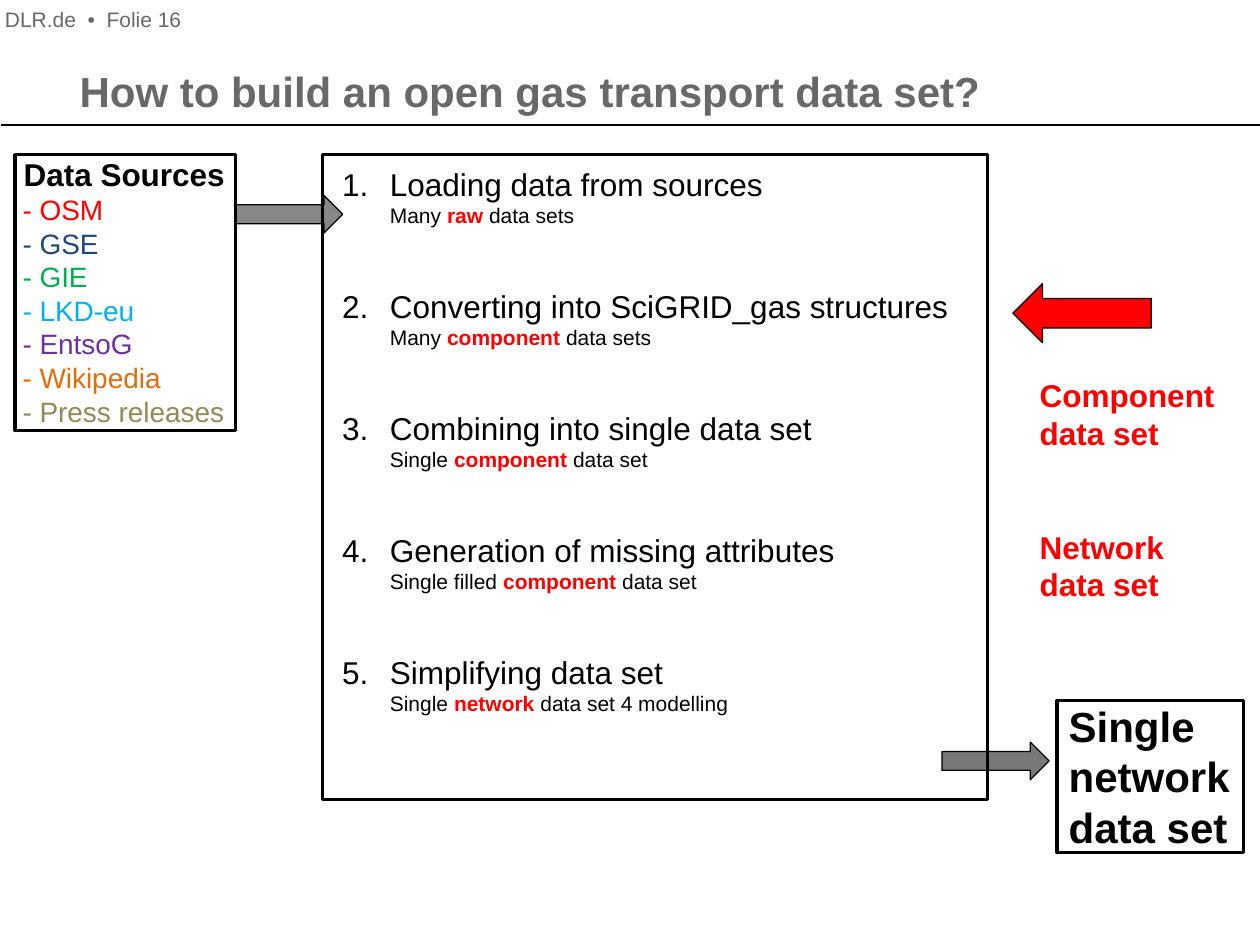
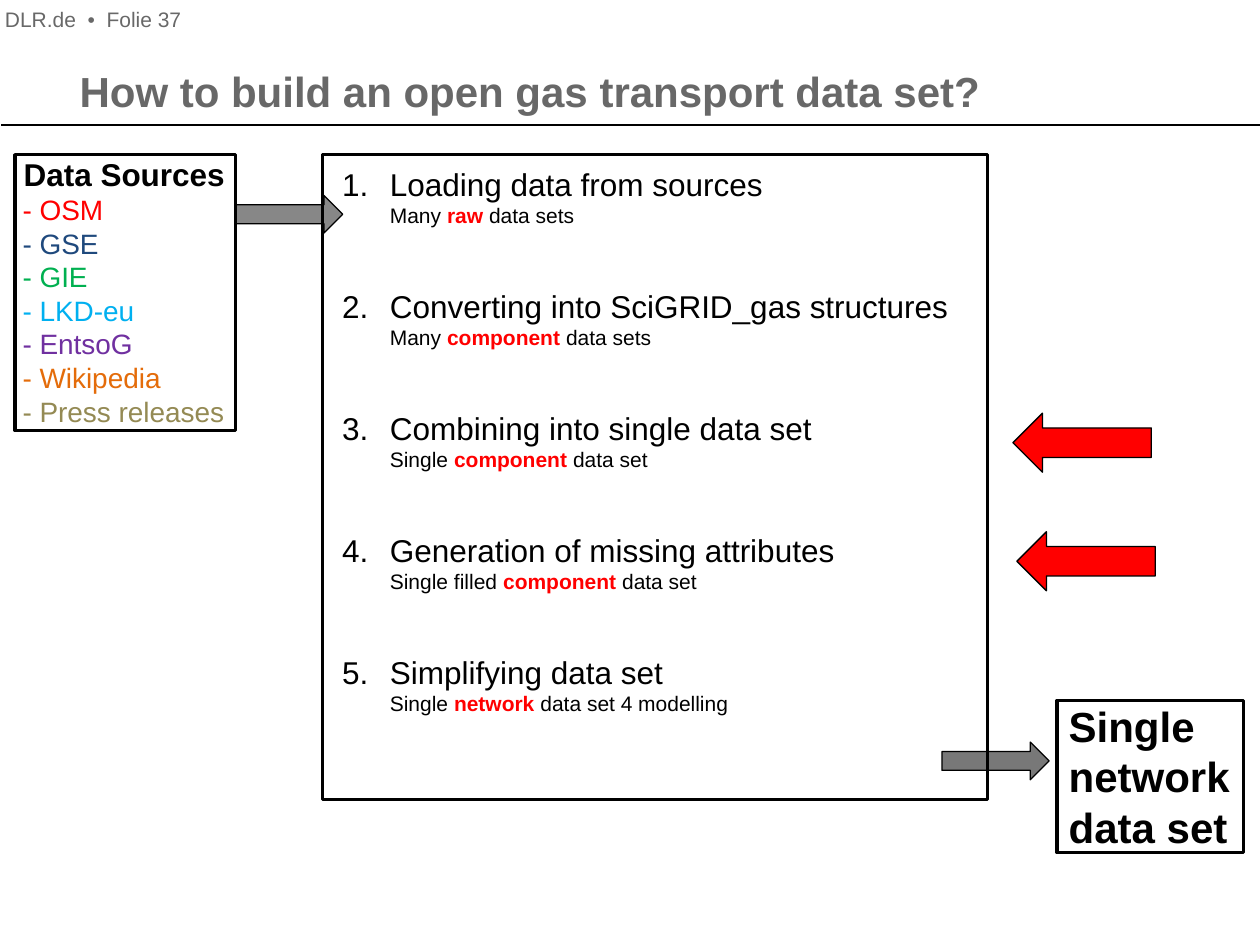
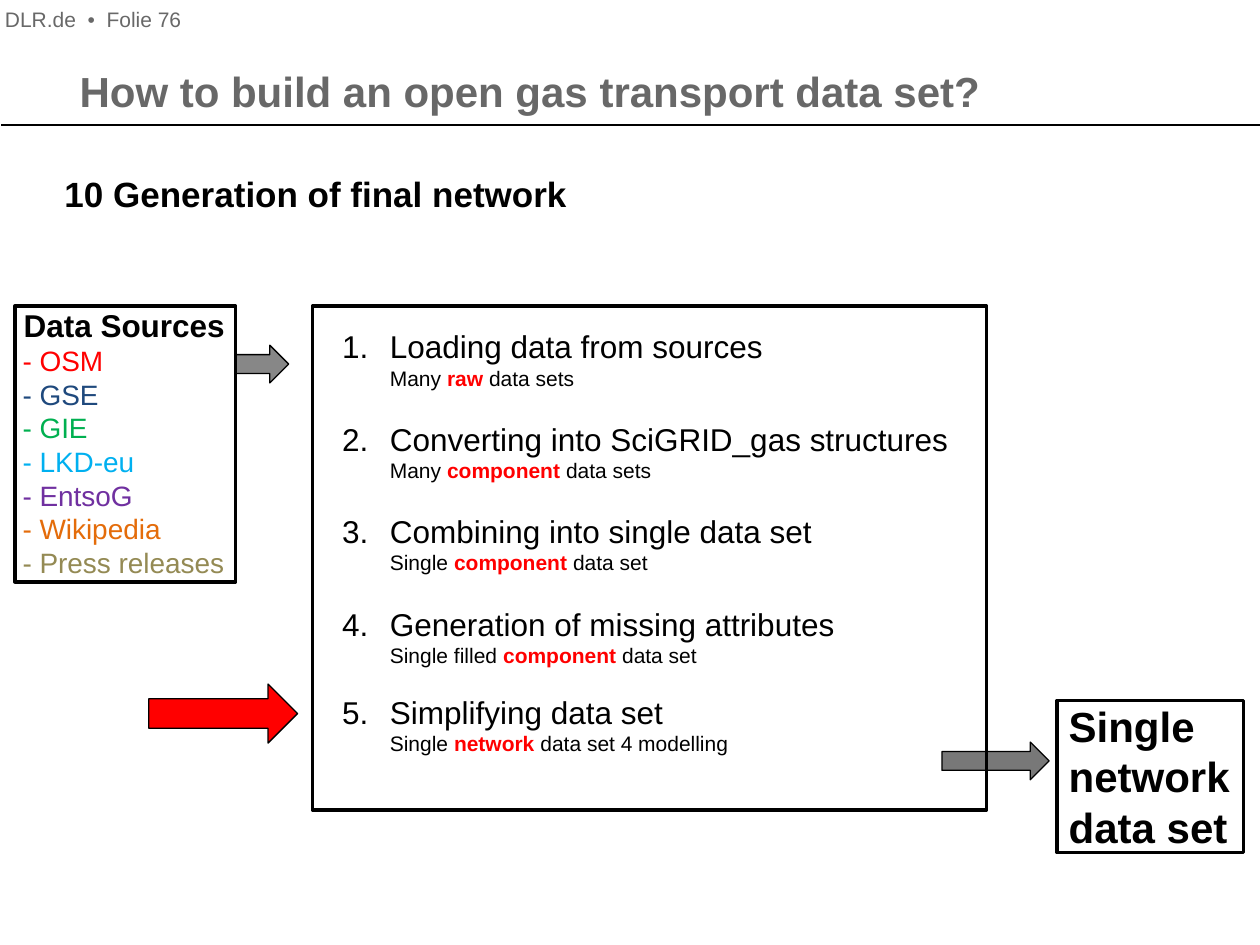
from lxml import etree
from pptx import Presentation
from pptx.dml.color import RGBColor
from pptx.enum.shapes import MSO_CONNECTOR, MSO_SHAPE
from pptx.enum.text import MSO_ANCHOR, PP_ALIGN
from pptx.oxml.ns import qn
from pptx.util import Cm, Pt

RECTANGLE = MSO_SHAPE.RECTANGLE
RIGHT_ARROW = MSO_SHAPE.RIGHT_ARROW
LEFT_ARROW = MSO_SHAPE.LEFT_ARROW
STRAIGHT = MSO_CONNECTOR.STRAIGHT
TOP = MSO_ANCHOR.TOP
LEFT = PP_ALIGN.LEFT

BLACK = RGBColor(0x00, 0x00, 0x00)
GREY = RGBColor(0x68, 0x68, 0x68)
RED = RGBColor(0xFF, 0x00, 0x00)
NAVY = RGBColor(0x1F, 0x49, 0x7D)
GREEN = RGBColor(0x00, 0xB0, 0x50)
SKY = RGBColor(0x00, 0xB0, 0xF0)
PURPLE = RGBColor(0x70, 0x30, 0xA0)
ORANGE = RGBColor(0xE4, 0x6C, 0x0A)
OLIVE = RGBColor(0x94, 0x8A, 0x54)

NO_MARGINS = dict.fromkeys(
    ("margin_left", "margin_top", "margin_right", "margin_bottom"), 0)

TITLE = {"name": "Arial", "size": Pt(24), "bold": True}
HEADING = {"name": "Arial", "size": Pt(20), "bold": True}
LABEL = {"name": "Arial", "size": Pt(18), "bold": True}
STEP = {"name": "Arial", "size": Pt(18), "bold": False}
SOURCE = {"name": "Arial", "size": Pt(16), "bold": False}
DETAIL = {"name": "Arial", "size": Pt(12), "bold": False}
KEYWORD = {"name": "Arial", "size": Pt(12), "bold": True}

SOURCES = [("OSM", RED), ("GSE", NAVY), ("GIE", GREEN), ("LKD-eu", SKY),
           ("EntsoG", PURPLE), ("Wikipedia", ORANGE), ("Press releases", OLIVE)]
STEPS = [
    ("Loading data from sources", "Many ", "raw ", "data sets"),
    ("Converting into SciGRID_gas structures", "Many ", "component ", "data sets"),
    ("Combining into single data set", "Single ", "component ", "data set"),
    ("Generation of missing attributes", "Single filled ", "component ", "data set"),
    ("Simplifying data set", "Single ", "network ", "data set 4 modelling"),
]

EARLY = {
    "sources_top": 3.12, "frame": (6.5, 3.12, 13.41, 13),
    "steps": (6.9, 3.33, 12.32, 11.63), "step_gaps": (0, 33.7, 33.7, 33.7, 33.7),
    "input_arrow": (4.75, 3.94, 2.16, 0.76), "heading": None, "labels": False,
}
FINAL = {
    "sources_top": 6.17, "frame": (6.3, 6.17, 13.59, 10.16),
    "steps": (6.9, 6.6, 12.32, 8.71), "step_gaps": (0, 16.8, 16.8, 16.8, 14.4),
    "input_arrow": (4.75, 6.96, 1.07, 0.76),
    "heading": "10 Generation of final network", "labels": False,
}
SLIDES = [
    {**EARLY, "number": 16, "labels": True,
     "markers": [(LEFT_ARROW, (20.42, 5.72, 2.79, 1.19))]},
    {**EARLY, "number": 37,
     "markers": [(LEFT_ARROW, (20.42, 8.33, 2.79, 1.19)),
                 (LEFT_ARROW, (20.5, 10.72, 2.79, 1.19))]},
    {**FINAL, "number": 76,
     "markers": [(RIGHT_ARROW, (3, 13.79, 3, 1.19))]},
]


def write(frame, paragraphs, margins=NO_MARGINS):
    settings = {"word_wrap": True, "vertical_anchor": TOP, **margins}
    for name, value in settings.items():
        setattr(frame, name, value)
    for index, (gap, runs) in enumerate(paragraphs):
        paragraph = frame.add_paragraph() if index else frame.paragraphs[0]
        layout = {"alignment": LEFT, "space_before": Pt(gap)}
        for name, value in layout.items():
            setattr(paragraph, name, value)
        for text, font_format, color in runs:
            for row, line in enumerate(text.split("\n")):
                if row:
                    paragraph.add_line_break()
                if line:
                    run = paragraph.add_run()
                    run.text = line
                    for name, value in font_format.items():
                        setattr(run.font, name, value)
                    run.font.color.rgb = color


def draw(slide, kind, place, line_width, fill=None, opacity=100):
    shape = slide.shapes.add_shape(kind, *map(Cm, place))
    shape.shadow.inherit = False
    shape.line.color.rgb = BLACK
    shape.line.width = Pt(line_width)
    if fill is None:
        shape.fill.background()
    else:
        shape.fill.solid()
        shape.fill.fore_color.rgb = fill
    if opacity < 100:
        color = shape.fill._xPr.find(qn("a:solidFill"))[0]
        etree.SubElement(color, qn("a:alpha"), val=str(opacity * 1000))
    return shape


deck = Presentation()
deck.slide_width = Cm(25.4)
deck.slide_height = Cm(19.05)

for content in SLIDES:
    slide = deck.slides.add_slide(deck.slide_layouts[5])

    title = slide.shapes.title
    title_place = {"left": 1.35, "top": 1.19, "width": 22.71, "height": 2.34}
    for name, value in title_place.items():
        setattr(title, name, Cm(value))
    write(title.text_frame,
          [(0, [("How to build an open gas transport data set?", TITLE, GREY)])], {})

    title_rule = slide.shapes.add_connector(STRAIGHT, Cm(0.03), Cm(2.52), Cm(25.43), Cm(2.52))
    title_rule.line.color.rgb = BLACK
    title_rule.line.width = Pt(0.75)
    etree.SubElement(title_rule._element.spPr, qn("a:effectLst"))

    header = slide.shapes.add_textbox(Cm(0.1), Cm(0.13), Cm(4.34), Cm(0.38))
    write(header.text_frame, [(0, [(f"DLR.de  •  Folie {content['number']}", DETAIL, GREY)])])

    sources = draw(slide, RECTANGLE, (0.3, content["sources_top"], 4.45, 5.56), 2)
    write(sources.text_frame,
          [(0, [(" Data Sources", LABEL, BLACK)])]
          + [(0, [(f" - {source}", SOURCE, color)]) for source, color in SOURCES])

    steps = slide.shapes.add_textbox(*map(Cm, content["steps"]))
    write(steps.text_frame, [
        (gap, [(f"{step}\n", STEP, BLACK), (before, DETAIL, BLACK),
               (keyword, KEYWORD, RED), (after, DETAIL, BLACK)])
        for gap, (step, before, keyword, after) in zip(content["step_gaps"], STEPS)])
    for paragraph in steps.text_frame.paragraphs:
        properties = paragraph._p.get_or_add_pPr()
        properties.set("marL", str(Cm(0.96)))
        properties.set("indent", str(-Cm(0.96)))
        etree.SubElement(properties, qn("a:buAutoNum"), type="arabicPeriod")

    result = draw(slide, RECTANGLE, (21.31, 14.12, 3.76, 3.07), 2)
    write(result.text_frame, [(0, [(" Single \n network \n data set", TITLE, BLACK)])])

    draw(slide, RECTANGLE, content["frame"], 2)
    draw(slide, RIGHT_ARROW, content["input_arrow"], 0.75, BLACK, 47)
    draw(slide, RIGHT_ARROW, (18.99, 14.96, 2.16, 0.76), 0.75, BLACK, 53)
    for direction, place in content["markers"]:
        draw(slide, direction, place, 0.75, RED)

    if content["labels"]:
        labels = slide.shapes.add_textbox(Cm(20.96), Cm(7.59), Cm(3.73), Cm(4.62))
        write(labels.text_frame, [(0, [("Component \ndata set", LABEL, RED)]),
                                  (43.2, [("Network \ndata set", LABEL, RED)])])

    if content["heading"]:
        heading = slide.shapes.add_textbox(Cm(1.3), Cm(3.48), Cm(23.27), Cm(0.86))
        write(heading.text_frame, [(0, [(content["heading"], HEADING, BLACK)])])

deck.save("out.pptx")
